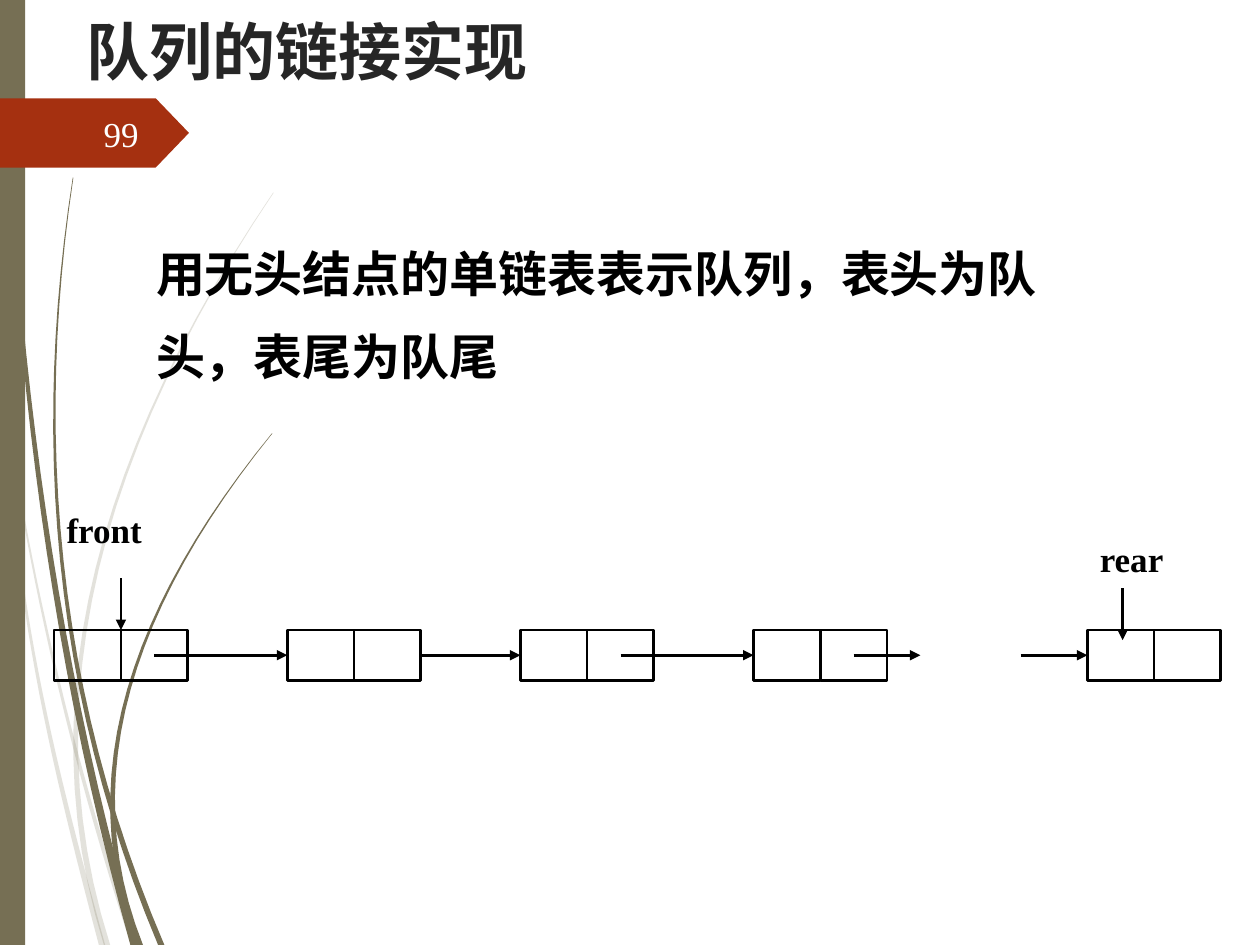
from collections import namedtuple

from lxml import etree
from pptx import Presentation
from pptx import util as u
from pptx.dml import color
from pptx.enum import shapes, text
from pptx.oxml import ns

OLIVE, RUST, BLACK = "766F54", "A53010", "000000"
CELL_WIDTH, CELL_HEIGHT, NODE_PITCH, NODE_COUNT = 0.53, 0.4, 1.85, 4
BLADE_STEPS = 24

Blade = namedtuple("Blade", "top bend base_width opacity")
BLADES = [
    Blade(2.90, (0.00, 0.20, 0.55, 1.06), 0.04, 20),
    Blade(3.50, (0.08, 0.12, 0.45, 0.81), 0.05, 20),
    Blade(1.53, (2.17, 0.83, 0.22, 0.85), 0.05, 20),
    Blade(0.00, (0.03, 0.08, 0.36, 1.07), 0.07, 100),
    Blade(1.41, (0.58, 0.27, 0.42, 1.28), 0.05, 100),
    Blade(3.44, (2.16, 1.06, 0.58, 1.11), 0.05, 100),
]


def inches(value):
    """Convert inches to a length given in centimetres."""
    return u.Cm(value * 2.54)


def rgb(value):
    """Turn a hex string into a colour."""
    return color.RGBColor.from_string(value)


def paint(shape, fill=None, line=None, opacity=100):
    """Set the fill, its opacity and the outline of a shape, without a shadow."""
    shape.shadow.inherit = False
    if fill:
        shape.fill.solid()
        shape.fill.fore_color.rgb = rgb(fill)
        if opacity < 100:
            value = shape._element.spPr.find(".//" + ns.qn("a:srgbClr"))
            etree.SubElement(value, ns.qn("a:alpha"), val=str(opacity * 1000))
    else:
        shape.fill.background()
    if line:
        shape.line.color.rgb = rgb(line)
        shape.line.width = u.Pt(1.5)
    else:
        shape.line.fill.background()


def add_block(slide, kind, box, fill=None, line=None):
    """Draw a preset shape in the given box."""
    shape = slide.shapes.add_shape(kind, *map(inches, box))
    paint(shape, fill, line)
    return shape


def add_label(slide, box, wording, font, paragraph_format=None, anchor=text.MSO_ANCHOR.TOP):
    """Place one paragraph of formatted text in the given box."""
    frame = slide.shapes.add_textbox(*map(inches, box)).text_frame
    frame.word_wrap = True
    frame.vertical_anchor = anchor
    paragraph = frame.paragraphs[0]
    for name, value in (paragraph_format or {}).items():
        setattr(paragraph, name, value)
    run = paragraph.add_run()
    run.text = wording
    for name, value in font.items():
        if name == "color":
            run.font.color.rgb = rgb(value)
        else:
            setattr(run.font, name, value)


def add_arrow(slide, start, end):
    """Draw a straight arrow between two points."""
    connector = slide.shapes.add_connector(
        shapes.MSO_CONNECTOR.STRAIGHT, *map(inches, start + end))
    connector.line.color.rgb = rgb(BLACK)
    connector.line.width = u.Pt(1.5)
    etree.SubElement(connector.line._get_or_add_ln(), ns.qn("a:tailEnd"), type="triangle")
    etree.SubElement(connector._element.spPr, ns.qn("a:effectLst"))


def bezier(values, t):
    """Evaluate a cubic Bezier curve through four control values."""
    start, first, second, end = values
    rest = 1 - t
    return (start * rest ** 3 + 3 * first * t * rest ** 2
            + 3 * second * t ** 2 * rest + end * t ** 3)


def add_blade(slide, box, blade):
    """Draw a curved blade that widens from its tip to the bottom of the box."""
    left, top, width, height = box
    left_side, right_side = [], []
    for step in range(BLADE_STEPS + 1):
        t = step / BLADE_STEPS
        x = left + bezier(blade.bend, t)
        y = top + blade.top + (height - blade.top) * t
        half = blade.base_width * (0.1 + 0.9 * t) / 2
        left_side.append((inches(x - half), inches(y)))
        right_side.append((inches(x + half), inches(y)))
    builder = slide.shapes.build_freeform(*left_side[0])
    builder.add_line_segments(left_side[1:] + right_side[::-1], close=True)
    paint(builder.convert_to_shape(), OLIVE, opacity=blade.opacity)


def add_backdrop(slide, box):
    """Draw the grass blades, the side bar and the page tag."""
    left, top, width, height = box
    for blade in BLADES:
        add_blade(slide, box, blade)
    add_block(slide, shapes.MSO_SHAPE.RECTANGLE, (left, top, 0.2, height), OLIVE)
    tag = add_block(slide, shapes.MSO_SHAPE.PENTAGON, (left, top + 0.78, 1.5, 0.55), RUST)
    tag.adjustments[0] = 0.48


def add_wording(slide, box):
    """Place the title, the page number and the statement."""
    left, top, width, height = box
    add_label(slide, (left + 0.59, top + 0.05, 8.5, 1.25), "队列的链接实现",
              {"name": "League Spartan", "size": u.Pt(36), "bold": True, "color": "262626"})
    add_label(slide, (left + 0.56, top + 0.86, 0.64, 0.4), "99",
              {"name": "Times New Roman", "size": u.Pt(20), "color": "FEFFFF"},
              {"alignment": text.PP_ALIGN.RIGHT}, text.MSO_ANCHOR.MIDDLE)
    add_label(slide, (left + 1.14, top + 1.7, 7.24, 1.41),
              "用无头结点的单链表表示队列，表头为队头，表尾为队尾",
              {"name": "Arial", "size": u.Pt(28), "bold": True, "color": BLACK},
              {"line_spacing": 1.4})


def add_node(slide, box):
    """Draw a node as two equal cells side by side."""
    left, top, width, height = box
    for cell in range(2):
        add_block(slide, shapes.MSO_SHAPE.RECTANGLE,
                  (left + cell * width / 2, top, width / 2, height), line=BLACK)


def add_queue(slide, box):
    """Draw the linked nodes with their front and rear pointers."""
    left, top, width, height = box
    node_width = 2 * CELL_WIDTH
    row = top + height - CELL_HEIGHT
    middle = row + CELL_HEIGHT / 2
    nodes = [left + NODE_PITCH * index for index in range(NODE_COUNT)]
    last = left + width - node_width
    for node in nodes + [last]:
        add_node(slide, (node, row, node_width, CELL_HEIGHT))

    starts = [node + CELL_WIDTH * 1.5 for node in nodes]
    starts[1] = nodes[1] + node_width
    ends = nodes[1:] + [starts[-1] + CELL_WIDTH]
    for start, end in zip(starts + [last - CELL_WIDTH], ends + [last]):
        add_arrow(slide, (start, middle), (end, middle))

    font = {"name": "Times New Roman", "size": u.Pt(20), "bold": True, "color": BLACK}
    justified = {"alignment": text.PP_ALIGN.JUSTIFY}
    add_label(slide, (left, top, 1.32, 0.61), "front", font, justified)
    add_label(slide, (last, top + 0.23, 1.08, 0.45), "rear", font, justified)
    for x, y in ((left + CELL_WIDTH, top + 0.6), (last + 0.28, top + 0.68)):
        add_arrow(slide, (x, y), (x, y + 0.41))


def main():
    """Build the slide and save it."""
    presentation = Presentation()
    presentation.slide_width, presentation.slide_height = inches(10), inches(7.5)
    slide = presentation.slides.add_slide(presentation.slide_layouts[6])
    page = (0, 0, 10, 7.5)
    add_backdrop(slide, page)
    add_wording(slide, page)
    add_queue(slide, (0.43, 3.99, 9.26, 1.41))
    presentation.save("out.pptx")


if __name__ == "__main__":
    main()
